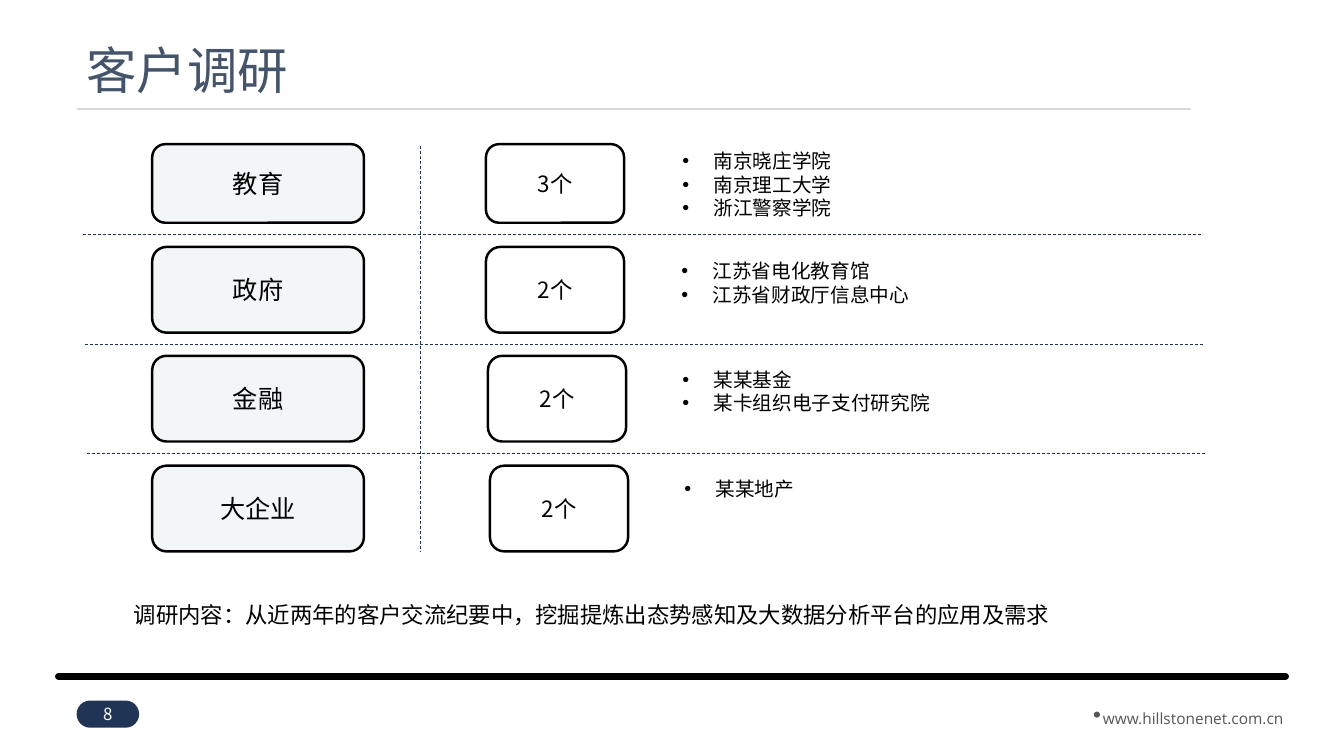
from lxml import etree
from pptx import Presentation
from pptx.dml.color import RGBColor
from pptx.enum.dml import MSO_LINE
from pptx.enum.shapes import MSO_CONNECTOR, MSO_SHAPE
from pptx.enum.text import MSO_ANCHOR, PP_ALIGN
from pptx.oxml.ns import qn
from pptx.util import Inches, Pt

STRAIGHT = MSO_CONNECTOR.STRAIGHT
ROUNDED, OVAL = MSO_SHAPE.ROUNDED_RECTANGLE, MSO_SHAPE.OVAL
DASH = MSO_LINE.DASH
TOP, MIDDLE = MSO_ANCHOR.TOP, MSO_ANCHOR.MIDDLE
LEFT, CENTER = PP_ALIGN.LEFT, PP_ALIGN.CENTER

BLACK = RGBColor(0x00, 0x00, 0x00)
WHITE = RGBColor(0xFF, 0xFF, 0xFF)
NAVY = RGBColor(0x20, 0x35, 0x56)
SLATE = RGBColor(0x44, 0x54, 0x6A)
GREY = RGBColor(0x56, 0x56, 0x56)
RULE_GREY = RGBColor(0xD9, 0xD9, 0xD9)
PALE = RGBColor(0xF3, 0xF6, 0xF7)

# sector, top, height, count, left of count, top of list, left of list, customers
SECTORS = [
    ("教育", 1.43, 0.78, "3个", 4.82, 1.43, 6.67,
     ["南京晓庄学院", "南京理工大学", "浙江警察学院"]),
    ("政府", 2.45, 0.85, "2个", 4.82, 2.52, 6.66,
     ["江苏省电化教育馆", "江苏省财政厅信息中心"]),
    ("金融", 3.53, 0.85, "2个", 4.84, 3.6, 6.67,
     ["某某基金", "某卡组织电子支付研究院"]),
    ("大企业", 4.62, 0.85, "2个", 4.86, 4.68, 6.69, ["某某地产"]),
]


class SlideBuilder:
    font_name = "Noto Sans CJK SC"

    def __init__(self, slide):
        self.slide = slide

    def fill_text(self, frame, lines, size, color, align=LEFT, anchor=TOP,
                  spacing=None, bulleted=False, font_name=None):
        frame.word_wrap = True
        frame.vertical_anchor = anchor
        for index, line in enumerate(lines):
            paragraph = frame.paragraphs[0] if index == 0 else frame.add_paragraph()
            paragraph.text = line
            paragraph.alignment = align
            if spacing:
                paragraph.line_spacing = spacing
            if bulleted:
                self.add_bullet(paragraph)
            paragraph.font.size = Pt(size)
            paragraph.font.color.rgb = color
            paragraph.font.name = font_name or self.font_name
            for run in paragraph.runs:
                east_asian = etree.SubElement(run.font._element, qn("a:ea"))
                east_asian.set("typeface", font_name or self.font_name)

    def add_bullet(self, paragraph):
        properties = paragraph._p.get_or_add_pPr()
        indent = Inches(0.31)
        properties.set("marL", str(indent))
        properties.set("indent", str(-indent))
        etree.SubElement(properties, qn("a:buFont")).set("typeface", "Arial")
        etree.SubElement(properties, qn("a:buChar")).set("char", "•")

    def text(self, left, top, width, height, lines, size, color, **style):
        box = self.slide.shapes.add_textbox(
            Inches(left), Inches(top), Inches(width), Inches(height))
        self.fill_text(box.text_frame, lines, size, color, **style)

    def shape(self, kind, left, top, width, height, fill=None, outline=None):
        shape = self.slide.shapes.add_shape(
            kind, Inches(left), Inches(top), Inches(width), Inches(height))
        shape.shadow.inherit = False
        if fill is None:
            shape.fill.background()
        else:
            shape.fill.solid()
            shape.fill.fore_color.rgb = fill
        if outline is None:
            shape.line.fill.background()
        else:
            shape.line.color.rgb = outline
            shape.line.width = Pt(1.75)
        return shape

    def card(self, left, top, width, height, label, size, fill=None):
        card = self.shape(ROUNDED, left, top, width, height, fill, BLACK)
        self.fill_text(card.text_frame, [label], size, BLACK, align=CENTER, anchor=MIDDLE)

    def line(self, x1, y1, x2, y2, color, width, dash=None, round_cap=False):
        line = self.slide.shapes.add_connector(
            STRAIGHT, Inches(x1), Inches(y1), Inches(x2), Inches(y2))
        line.line.color.rgb = color
        line.line.width = Pt(width)
        if dash:
            line.line.dash_style = dash
        if round_cap:
            line.line._get_or_add_ln().set("cap", "rnd")
        etree.SubElement(line._element.spPr, qn("a:effectLst"))


def main():
    presentation = Presentation()
    presentation.slide_width = Inches(13.33)
    presentation.slide_height = Inches(7.5)
    builder = SlideBuilder(presentation.slides.add_slide(presentation.slide_layouts[6]))

    builder.line(0.58, 6.71, 12.75, 6.71, BLACK, 5, round_cap=True)
    builder.text(10.67, 6.89, 2.33, 0.38, ["www.hillstonenet.com.cn"], 11, GREY,
                 align=CENTER, spacing=1.5, font_name="Open Sans")
    builder.shape(OVAL, 10.85, 7.06, 0.06, 0.06, GREY)
    builder.line(0.76, 1.08, 11.81, 1.08, RULE_GREY, 1.5)
    builder.text(0.76, 0.4, 10.73, 0.66, ["客户调研"], 36, SLATE,
                 anchor=MIDDLE, spacing=0.9)
    page_badge = builder.shape(ROUNDED, 0.76, 6.95, 0.62, 0.27, NAVY)
    page_badge.adjustments[0] = 0.5
    builder.fill_text(page_badge.text_frame, ["8"], 12, WHITE, align=CENTER, anchor=MIDDLE)

    for sector, top, height, count, count_left, list_top, list_left, customers in SECTORS:
        builder.card(1.51, top, 2.1, height, sector, 18, PALE)
        builder.card(count_left, top, 1.37, height, count, 16)
        builder.text(list_left, list_top, 5.17, 0.1 + 0.235 * len(customers),
                     customers, 14, BLACK, bulleted=True)

    for left, y in [(0.82, 2.33), (0.84, 3.42), (0.86, 4.5)]:
        builder.line(left, y, left + 11.1, y, NAVY, 0.5, DASH)
    builder.line(4.17, 1.45, 4.17, 5.47, NAVY, 0.5, DASH)
    builder.text(1.23, 5.91, 10.94, 0.37,
                 ["调研内容：从近两年的客户交流纪要中，挖掘提炼出态势感知及大数据分析平台的应用及需求"],
                 16, BLACK)
    presentation.save("out.pptx")


if __name__ == "__main__":
    main()
